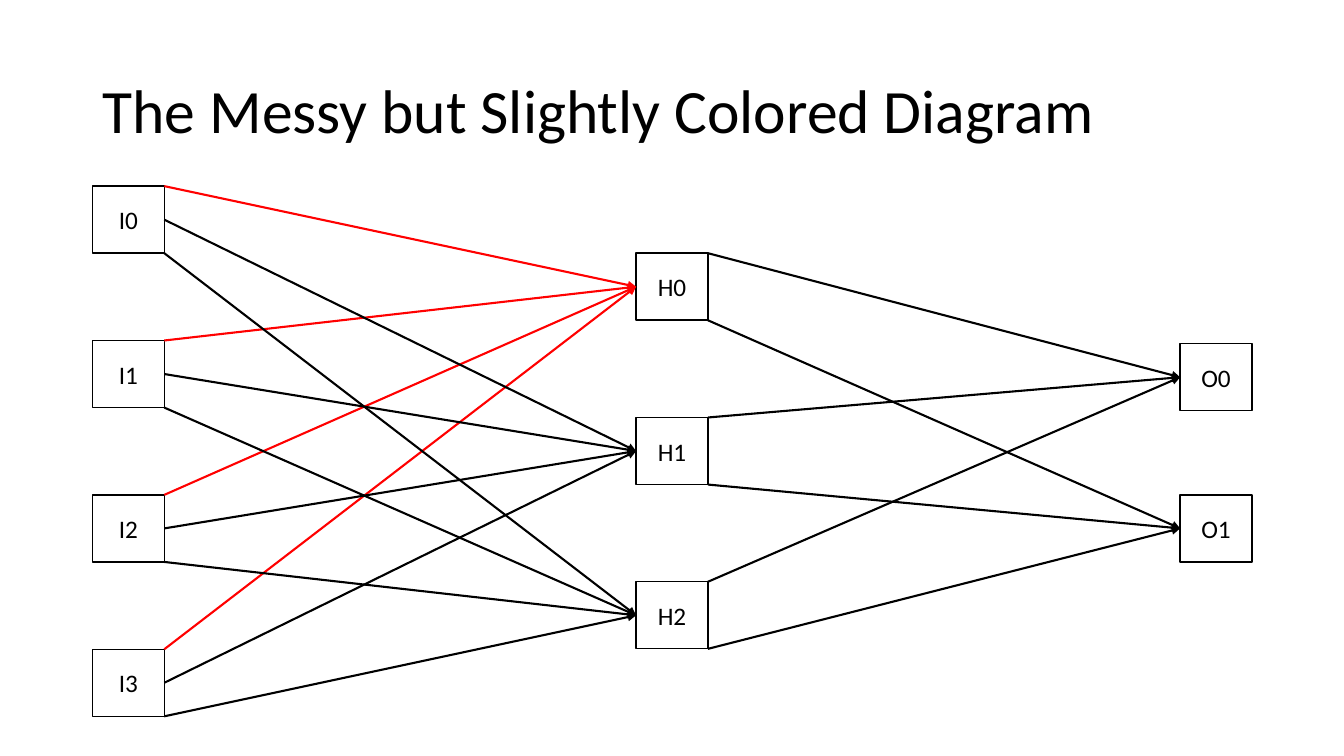
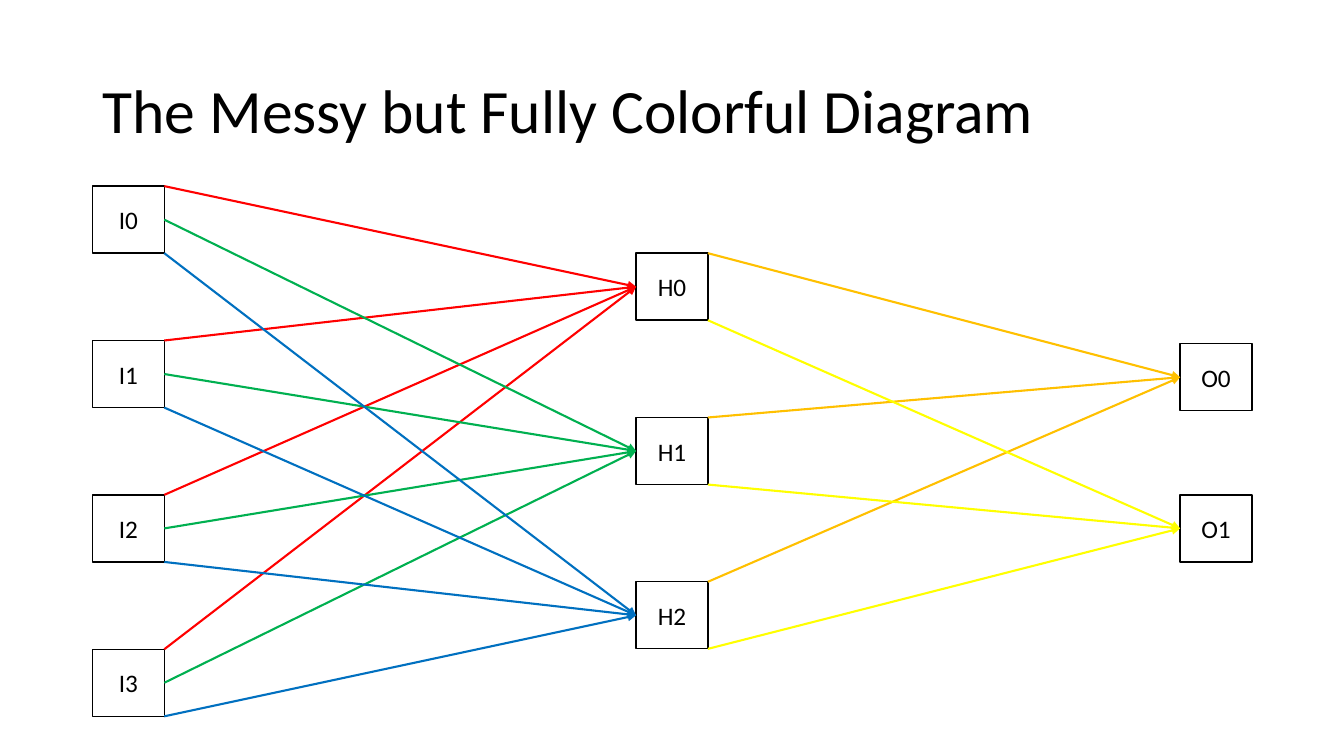
import pptx
import pptx.util
import pptx.dml.color
import pptx.enum.shapes
import pptx.enum.text
import pptx.oxml.ns
import lxml.etree

Cm, Pt = pptx.util.Cm, pptx.util.Pt
Align, Anchor = pptx.enum.text.PP_ALIGN, pptx.enum.text.MSO_ANCHOR
qn = pptx.oxml.ns.qn

# Shared style
FONT, BLACK, WHITE, RED = "Calibri", "000000", "FFFFFF", "FF0000"
WIDE, HIGH = 1.81, 1.69

# Layers: letter, count, left, top of first box, step down (cm)
LAYERS = [
    ("I", 4, 2.33, 4.69, 3.89),
    ("H", 3, 16.03, 6.38, 4.14),
    ("O", 2, 29.74, 8.66, 3.81),
]

# Slides: title, then arrow colours by target box for each pair of layers
SLIDES = [
    ("The Messy but Slightly Colored Diagram",
     [[RED, BLACK, BLACK], [BLACK, BLACK]]),
    ("The Messy but Fully Colorful Diagram",
     [[RED, "00B050", "0070C0"], ["FFC000", "FFFF00"]]),
]


def color(text):
    return pptx.dml.color.RGBColor.from_string(text)


def write(frame, text, size, align):
    frame.word_wrap = True
    frame.vertical_anchor = Anchor.MIDDLE
    para = frame.paragraphs[0]
    para.alignment = align
    run = para.add_run()
    run.text = text
    run.font.name, run.font.size = FONT, Pt(size)
    run.font.color.rgb = color(BLACK)
    return para


deck = pptx.Presentation()
deck.slide_width, deck.slide_height = Cm(33.87), Cm(19.05)

for head, hues in SLIDES:
    slide = deck.slides.add_slide(deck.slide_layouts[5])

    # Title
    title = slide.shapes.title
    title.left, title.top = Cm(2.33), Cm(1.01)
    title.width, title.height = Cm(29.21), Cm(3.68)
    write(title.text_frame, head, 44, Align.LEFT).line_spacing = 0.9

    # Boxes, layer by layer
    layers = []
    for name, count, left, top, step in LAYERS:
        boxes = []
        for row in range(count):
            box = slide.shapes.add_shape(
                pptx.enum.shapes.MSO_SHAPE.RECTANGLE,
                Cm(left), Cm(top + row * step), Cm(WIDE), Cm(HIGH))
            box.shadow.inherit = False
            box.fill.solid()
            box.fill.fore_color.rgb = color(WHITE)
            box.line.color.rgb = color(BLACK)
            box.line.width = Pt(1)
            write(box.text_frame, f"{name}{row}", 18, Align.CENTER)
            boxes.append(box)
        layers.append(boxes)

    # Arrows leave the right edge at evenly spread heights, one per target
    for starts, ends, tints in zip(layers, layers[1:], hues):
        for place, (end, tint) in enumerate(zip(ends, tints)):
            for start in starts:
                drop = start.height * place // (len(ends) - 1)
                arrow = slide.shapes.add_connector(
                    pptx.enum.shapes.MSO_CONNECTOR.STRAIGHT,
                    start.left + start.width, start.top + drop,
                    end.left, end.top + end.height // 2)
                arrow.end_connect(end, 1)
                arrow.line.color.rgb = color(tint)
                arrow.line.width = Pt(1.5)
                line = arrow.line._get_or_add_ln()
                lxml.etree.SubElement(line, qn("a:tailEnd"), type="triangle")
                lxml.etree.SubElement(arrow._element.spPr, qn("a:effectLst"))

deck.save("out.pptx")
